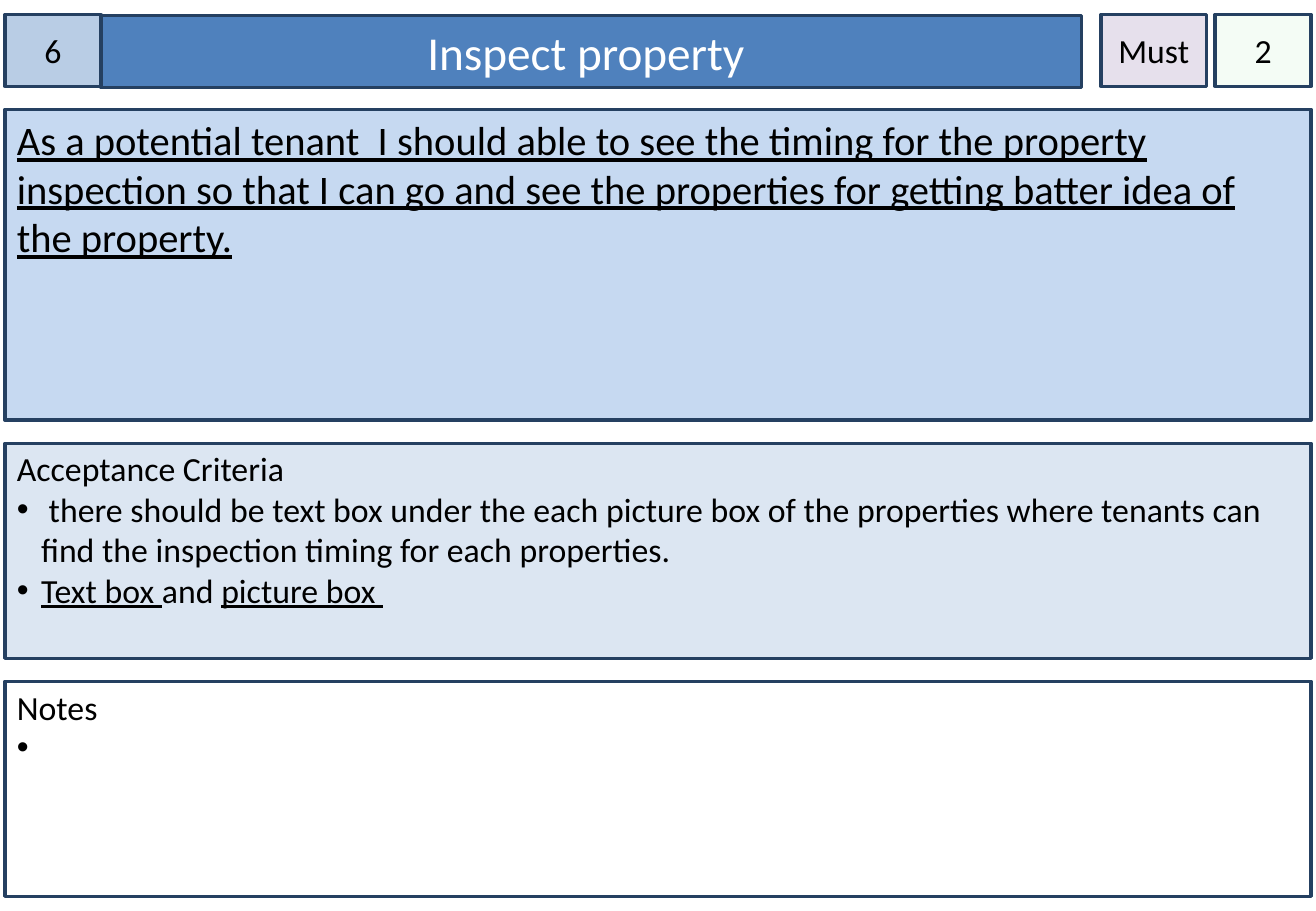
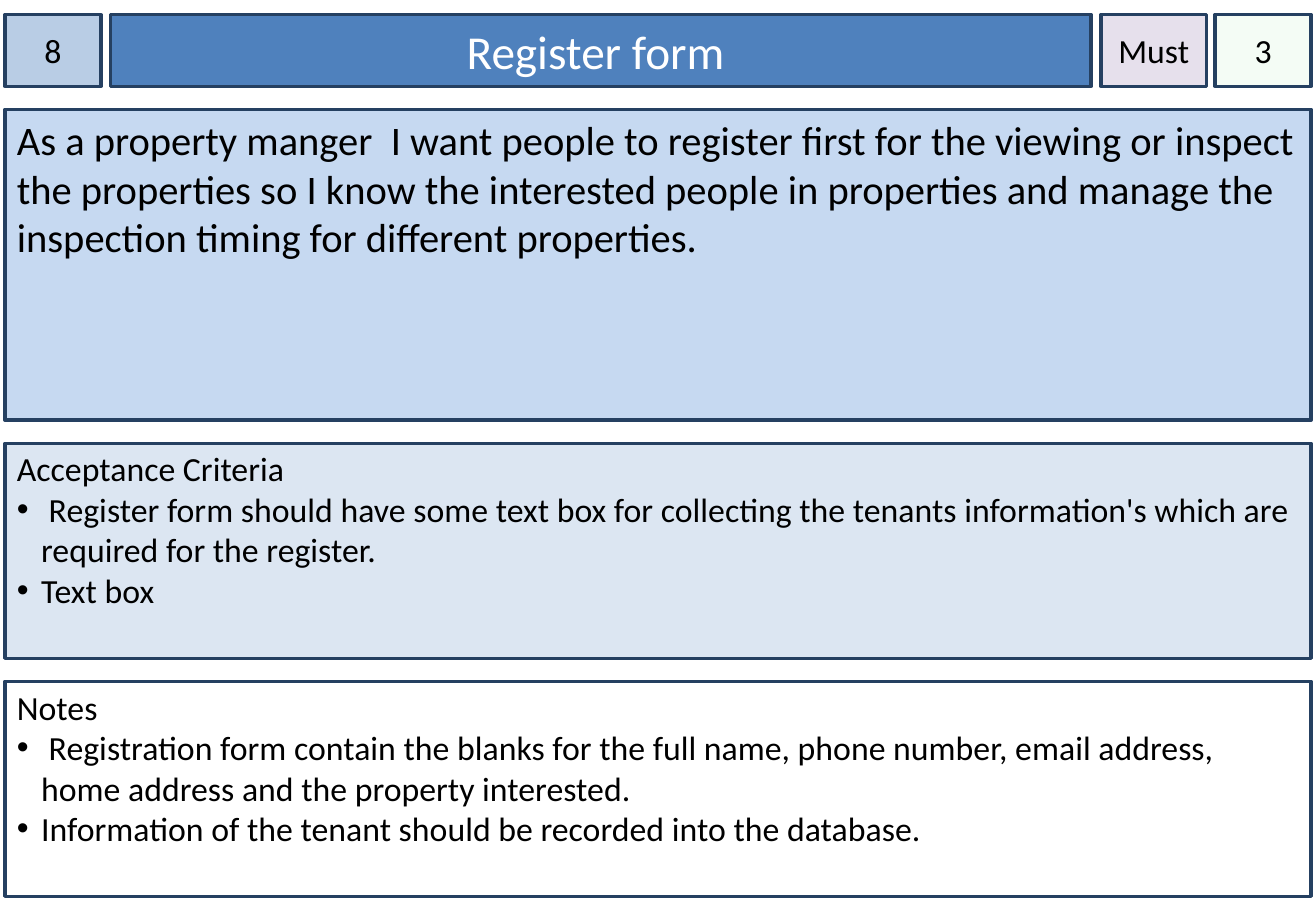
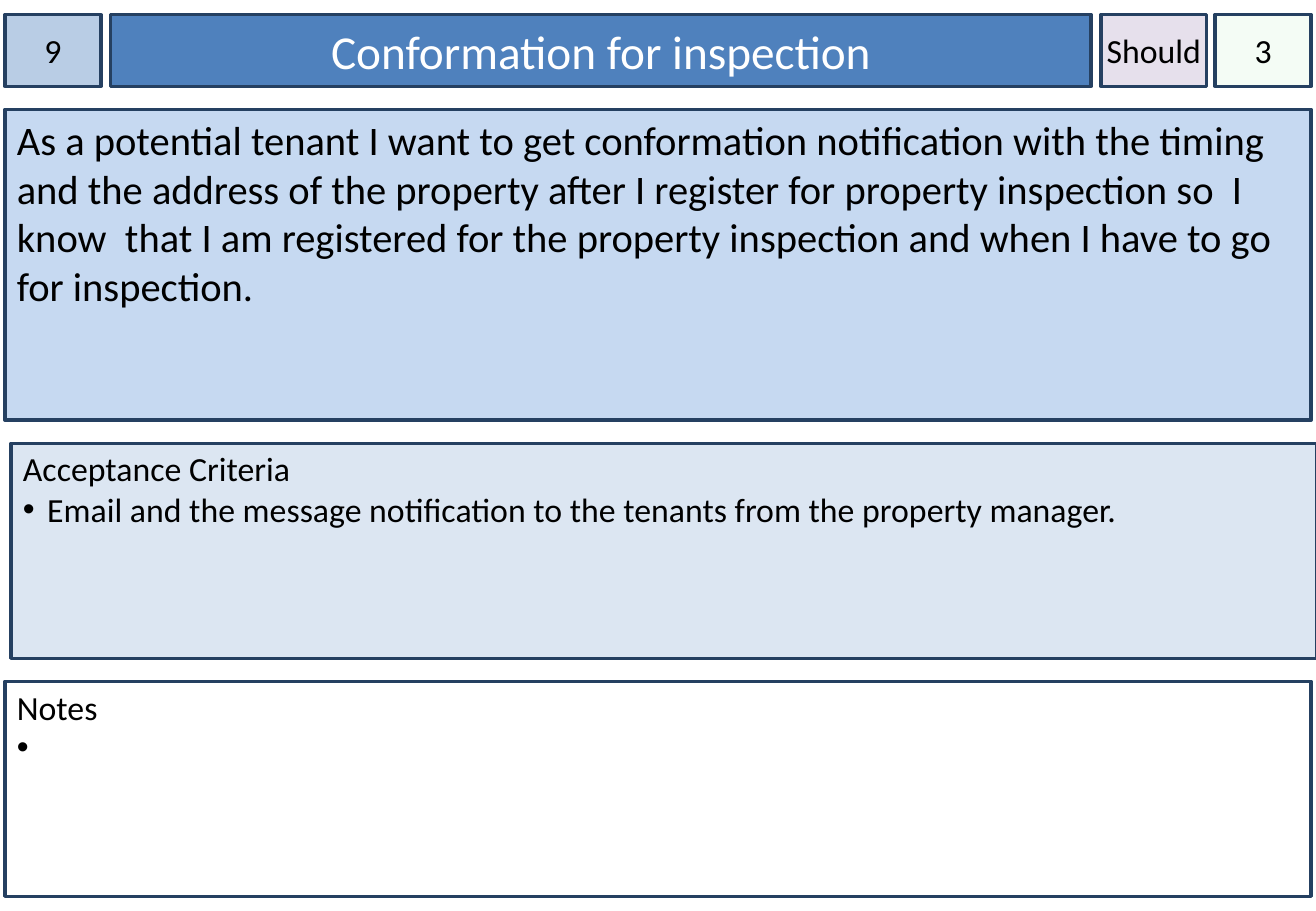
from lxml import etree
from pptx import Presentation
from pptx.dml.color import RGBColor
from pptx.enum.shapes import MSO_SHAPE
from pptx.enum.text import MSO_ANCHOR, MSO_AUTO_SIZE, PP_ALIGN
from pptx.oxml.ns import qn
from pptx.util import Inches, Pt

RECT = MSO_SHAPE.RECTANGLE
TOP, MIDDLE = MSO_ANCHOR.TOP, MSO_ANCHOR.MIDDLE
LEFT, CENTER = PP_ALIGN.LEFT, PP_ALIGN.CENTER
FIXED = MSO_AUTO_SIZE.NONE

NAVY = RGBColor(0x25, 0x40, 0x61)
BLUE = RGBColor(0x4F, 0x81, 0xBD)
STEEL = RGBColor(0xB9, 0xCD, 0xE5)
SKY = RGBColor(0xC6, 0xD9, 0xF1)
ICE = RGBColor(0xDC, 0xE6, 0xF2)
LILAC = RGBColor(0xE6, 0xE0, 0xEC)
MINT = RGBColor(0xCC, 0xF0, 0xCD)
WHITE = RGBColor(0xFF, 0xFF, 0xFF)
BLACK = RGBColor(0, 0, 0)

WIDE, HIGH = 10.83, 7.5
EDGE = 0.04
GAP = 0.08
CHIP = 0.79
RANK = 0.87
HEAD = 8.07
FULL = WIDE - 2 * EDGE

HEAD_X = EDGE + CHIP + GAP
RANK_X = HEAD_X + HEAD + GAP
COST_X = WIDE - EDGE - CHIP

rows = []
top = 0.12
for high in (0.59, 2.56, 1.77, 1.77):
    rows.append((top, high))
    top += high + 0.19
BAR, STORY, TESTS, NOTES = rows

CARDS = [
    dict(
        code="6", title="Inspect property ", rank="Must", cost="2",
        story="_As a potential tenant  I should able to see the timing for the "
              "property inspection so that I can go and see the properties for "
              "getting batter idea of the property._",
        tests=[" there should be text box under the each picture box of the "
               "properties where tenants can find the inspection timing for "
               "each properties.",
               "_Text box _and _picture box _"],
        notes=[" "], head_shift=(-GAP, 0.01), tests_shift=0),
    dict(
        code="8", title="Register form ", rank="Must", cost="3",
        story="As a property manger  I want people to register first for the "
              "viewing or inspect the properties so I know the interested "
              "people in properties and manage the inspection timing for "
              "different properties.",
        tests=[" Register form should have some text box for collecting the "
               "tenants information's which are required for the register.",
               "Text box"],
        notes=[" Registration form contain the blanks for the full name, phone "
               "number, email address, home address and the property "
               "interested.",
               "Information of the tenant should be recorded into the database."],
        head_shift=(0, 0), tests_shift=0),
    dict(
        code="9", title="Conformation for inspection", rank="Should", cost="3",
        story="As a potential tenant I want to get conformation notification "
              "with the timing and the address of the property after I "
              "register for property inspection so  I know  that I am "
              "registered for the property inspection and when I have to go "
              "for inspection.",
        tests=["Email and the message notification to the tenants from the "
               "property manager."],
        notes=[" "], head_shift=(0, 0), tests_shift=0.05),
]


def write(box, text, items=(), size=20, color=BLACK, align=LEFT, anchor=TOP,
          side=0.1, upper=0.05, wrap=True):
    frame = box.text_frame
    frame.auto_size = FIXED
    frame.word_wrap = wrap
    frame.vertical_anchor = anchor
    frame.margin_left = frame.margin_right = Inches(side)
    frame.margin_top, frame.margin_bottom = Inches(upper), Inches(0.05)
    for row, line in enumerate([text, *items]):
        para = frame.add_paragraph() if row else frame.paragraphs[0]
        para.alignment = align
        if row:
            props = para._p.get_or_add_pPr()
            props.set("marL", str(Inches(0.2)))
            props.set("indent", str(-Inches(0.2)))
            etree.SubElement(props, qn("a:buFont"), typeface="Arial")
            etree.SubElement(props, qn("a:buChar"), char="•")
        for part, words in enumerate(line.split("_")):
            if words:
                run = para.add_run()
                run.text = words
                run.font.name = "Calibri"
                run.font.size = Pt(size)
                run.font.color.rgb = color
                run.font.underline = part % 2 == 1


def place(box, left, row, width, fill, alpha=None):
    box.left, box.width = Inches(left), Inches(width)
    box.top, box.height = Inches(row[0]), Inches(row[1])
    box.shadow.inherit = False
    box.fill.solid()
    box.fill.fore_color.rgb = fill
    if alpha:
        tint = box.element.spPr.find(".//" + qn("a:srgbClr"))
        etree.SubElement(tint, qn("a:alpha"), val=str(alpha * 1000))
    box.line.color.rgb = NAVY
    box.line.width = Pt(2)


deck = Presentation()
deck.slide_width, deck.slide_height = Inches(WIDE), Inches(HIGH)

for card in CARDS:
    slide = deck.slides.add_slide(deck.slide_layouts[5])
    dx, dy = card["head_shift"]
    head = slide.shapes.title
    place(head, HEAD_X + dx, (BAR[0] + dy, BAR[1]), HEAD, BLUE)
    write(head, card["title"], size=28, color=WHITE, align=CENTER, anchor=MIDDLE)

    chip = dict(align=CENTER, anchor=MIDDLE, side=0)
    panel = dict(upper=0.04)
    parts = [
        (EDGE, BAR, CHIP, STEEL, None, card["code"], chip),
        (EDGE, STORY, FULL, SKY, None, card["story"], dict(size=24)),
        (EDGE + card["tests_shift"], TESTS, FULL, ICE, None,
         "Acceptance Criteria", dict(panel, items=card["tests"])),
        (COST_X, BAR, CHIP, MINT, 20, card["cost"], chip),
        (RANK_X, BAR, RANK, LILAC, None, card["rank"], dict(chip, wrap=False)),
        (EDGE, NOTES, FULL, WHITE, None, "Notes",
         dict(panel, items=card["notes"])),
    ]
    for left, row, width, fill, alpha, text, style in parts:
        box = slide.shapes.add_shape(RECT, 0, 0, 0, 0)
        place(box, left, row, width, fill, alpha)
        write(box, text, **style)

deck.save("out.pptx")
